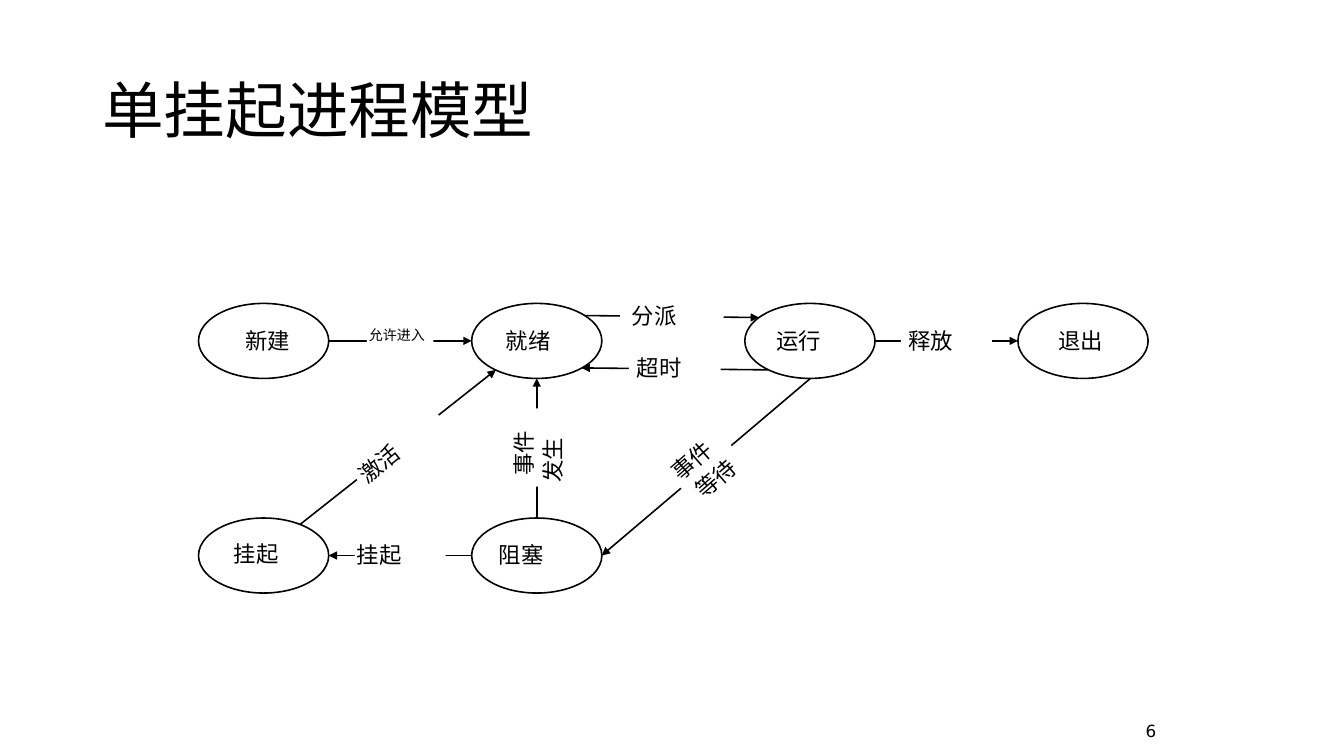
from dataclasses import dataclass

from lxml import etree
from pptx import Presentation
from pptx.dml.color import RGBColor
from pptx.enum import shapes, text
from pptx.oxml import ns
from pptx.shapes.autoshape import Shape
from pptx.slide import Slide
from pptx.util import Pt

COLORS = {"ink": "000000", "paper": "FFFFFF"}
SANS = "Noto Sans CJK SC"
STROKE = 1.13
LEFT, STEP = 141.8, 195.1
ROWS = (216.7, 370)
OVAL_W, OVAL_H = 93, 53.6
MID = ROWS[0] + OVAL_H / 2
LOW = ROWS[1] + OVAL_H / 2


@dataclass
class Label:
    words: str
    x: float
    y: float
    turn: float = 0
    size: float = 16


@dataclass
class State:
    col: int
    row: int
    label: Label


@dataclass
class Gap:
    x: float
    y: float
    width: float
    height: float = 23
    turn: float = 0


@dataclass
class Edge:
    start: tuple[float, float]
    tip: tuple[float, float]
    gap: Gap
    labels: list[Label]


STATES = [
    State(0, 0, Label("新建", 191.2, 243)),
    State(1, 0, Label("就绪", 377.6, 243)),
    State(2, 0, Label("运行", 570.6, 243)),
    State(3, 0, Label("退出", 772.2, 243)),
    State(0, 1, Label("挂起", 183.3, 395.6)),
    State(1, 1, Label("阻塞", 372.6, 396.4)),
]

EDGES = [
    Edge((234.8, MID), (336.9, MID), Gap(285.8, MID, 47.5),
         [Label("允许进入", 283.7, 239.4, size=10)]),
    Edge((417.6, 225.4), (542.2, 226.8), Gap(479.9, 225.7, 74, turn=0.5),
         [Label("分派", 467.6, 225.7)]),
    Edge((548.6, 264.2), (415.4, 262.8), Gap(482, 263.2, 65.5, turn=0.5),
         [Label("超时", 471, 262.6)]),
    Edge((578.9, 270.3), (429.8, LOW), Gap(504, 333, 47, 44.5, 320),
         [Label("事件", 494.3, 328.7, 319), Label("等待", 511.6, 341.6, 319)]),
    Edge((383.4, 370), (383.4, 270.3), Gap(382.7, 319.7, 44, 56),
         [Label("事件", 374, 323.6, 270), Label("发生", 394.9, 328.7, 270)]),
    Edge((625, MID), (727.1, MID), Gap(676, MID, 65),
         [Label("释放", 664.9, 243)]),
    Edge((336.9, LOW), (234.8, LOW), Gap(285.8, LOW, 65),
         [Label("挂起", 271.1, 396.4)]),
    Edge((214.6, 374.4), (354.2, 264.2), Gap(284, 319.3, 74.2, 23, 321.8),
         [Label("激活", 271, 330.8, 321)]),
]


def tint(name: str) -> RGBColor:
    return RGBColor.from_string(COLORS[name])


def add_text(slide: Slide, words: str, box: tuple[float, float, float, float],
             size: float, face: str) -> Shape:
    shape = slide.shapes.add_textbox(*map(Pt, box))
    frame = shape.text_frame
    frame.word_wrap = True
    frame.text = words
    font = frame.paragraphs[0].font
    font.size, font.name = Pt(size), face
    font.color.rgb = tint("ink")
    return shape


def add_label(slide: Slide, label: Label) -> None:
    width = len(label.words) * label.size + 0.4
    height = label.size * 1.2
    box = (label.x - width / 2, label.y - height / 2, width, height)
    shape = add_text(slide, label.words, box, label.size, SANS)
    shape.rotation = label.turn
    frame = shape.text_frame
    frame.word_wrap = False
    frame.vertical_anchor = text.MSO_ANCHOR.MIDDLE
    frame.margin_left = frame.margin_right = 0
    frame.margin_top = frame.margin_bottom = 0
    font = frame.paragraphs[0].font
    east = etree.SubElement(font._element, ns.qn("a:ea"))
    east.set("typeface", SANS)


def add_blank(slide: Slide, kind: shapes.MSO_SHAPE,
              box: tuple[float, float, float, float]) -> Shape:
    shape = slide.shapes.add_shape(kind, *map(Pt, box))
    shape.shadow.inherit = False
    shape.fill.solid()
    shape.fill.fore_color.rgb = tint("paper")
    return shape


def add_state(slide: Slide, state: State) -> None:
    box = (LEFT + state.col * STEP, ROWS[state.row], OVAL_W, OVAL_H)
    oval = add_blank(slide, shapes.MSO_SHAPE.OVAL, box)
    oval.line.color.rgb = tint("ink")
    oval.line.width = Pt(STROKE)
    add_label(slide, state.label)


def add_edge(slide: Slide, edge: Edge) -> None:
    arrow = slide.shapes.add_connector(
        shapes.MSO_CONNECTOR.STRAIGHT, *map(Pt, edge.start + edge.tip))
    arrow.line.color.rgb = tint("ink")
    arrow.line.width = Pt(STROKE)
    props = arrow._element.spPr
    head = etree.SubElement(props.find(ns.qn("a:ln")), ns.qn("a:tailEnd"))
    head.set("type", "triangle")
    etree.SubElement(props, ns.qn("a:effectLst"))

    gap = edge.gap
    box = (gap.x - gap.width / 2, gap.y - gap.height / 2, gap.width, gap.height)
    mask = add_blank(slide, shapes.MSO_SHAPE.RECTANGLE, box)
    mask.line.fill.background()
    mask.rotation = gap.turn
    for label in edge.labels:
        add_label(slide, label)


def main() -> None:
    deck = Presentation()
    deck.slide_width, deck.slide_height = Pt(960), Pt(540)
    slide = deck.slides.add_slide(deck.slide_layouts[6])

    title = add_text(slide, "单挂起进程模型", (66, 29, 828, 104.4), 44, "Calibri")
    title.text_frame.vertical_anchor = text.MSO_ANCHOR.MIDDLE
    title.text_frame.paragraphs[0].line_spacing = 0.9

    for state in STATES:
        add_state(slide, state)
    for edge in EDGES:
        add_edge(slide, edge)

    page = add_text(slide, "6", (794, 511, 39, 29), 12, "DejaVu Sans")
    page.text_frame.paragraphs[0].alignment = text.PP_ALIGN.RIGHT
    deck.save("out.pptx")


if __name__ == "__main__":
    main()
